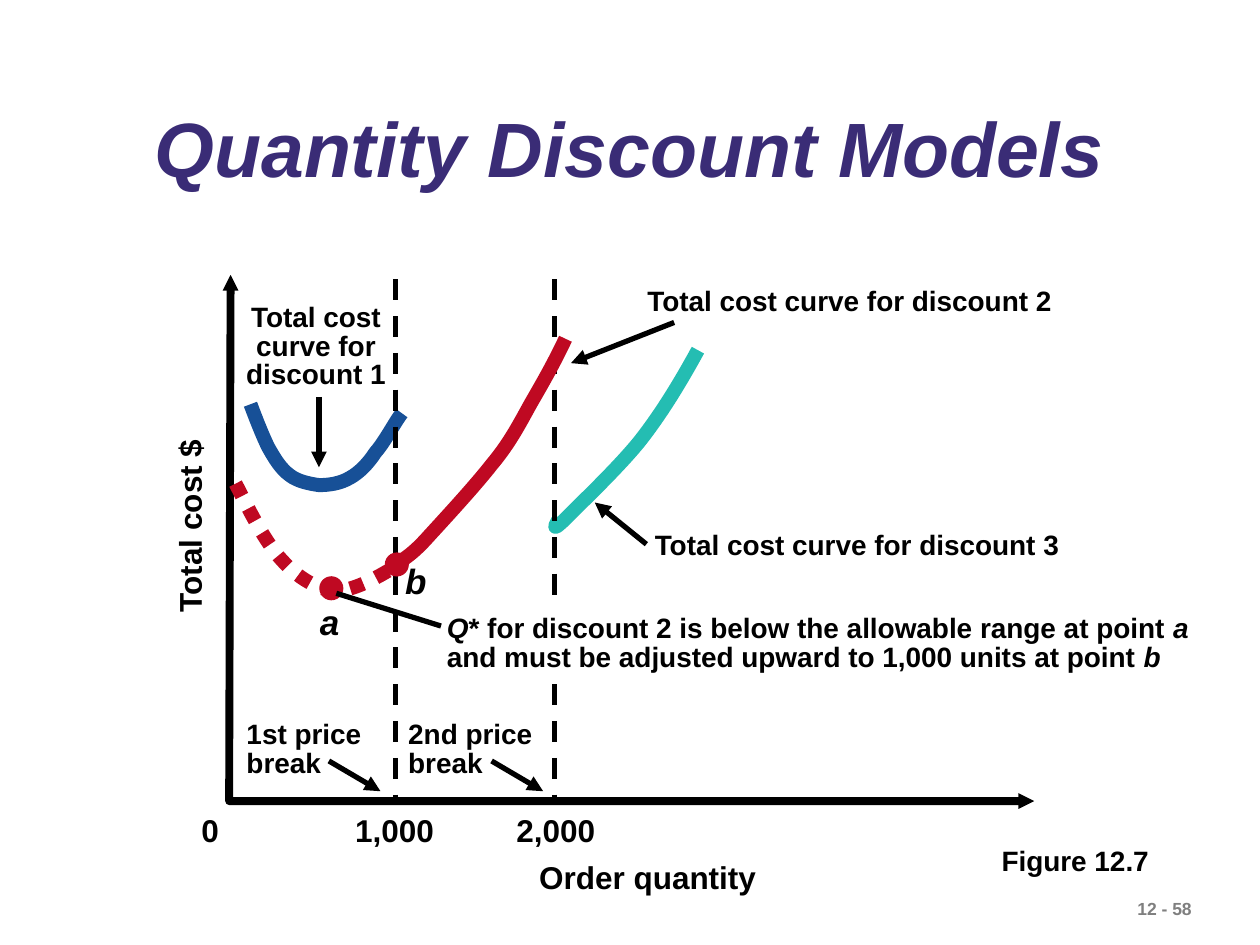
"""Build the quantity discount models slide with its total cost curves."""
from pptx import Presentation
from pptx import util as u
from pptx.dml.color import RGBColor
from pptx.enum import dml, shapes, text
from pptx.oxml.ns import qn
from lxml import etree

BLACK = RGBColor(0x00, 0x00, 0x00)
WHITE = RGBColor(0xFF, 0xFF, 0xFF)
GREY = RGBColor(0x7F, 0x7F, 0x7F)
PURPLE = RGBColor(0x3A, 0x2C, 0x76)
BLUE = RGBColor(0x17, 0x50, 0x97)
TEAL = RGBColor(0x24, 0xBD, 0xB2)
RED = RGBColor(0xBF, 0x09, 0x22)

DISCOUNT_1 = [(5.05, 8.15), (5.11, 8.31), (5.28, 8.76), (5.41, 9.02),
              (5.54, 9.25), (5.66, 9.45), (5.84, 9.58),
              (5.99, 9.7), (6.22, 9.75), (6.43, 9.78),
              (6.63, 9.78), (6.86, 9.75), (7.06, 9.63),
              (7.24, 9.53), (7.42, 9.35), (7.57, 9.12),
              (7.75, 8.92), (7.98, 8.48), (8.1, 8.33)]
DISCOUNT_2 = [(7.98, 11.38), (8.08, 11.3), (8.26, 11.23), (8.59, 10.87),
              (8.89, 10.54), (9.55, 9.83), (9.91, 9.37),
              (10.29, 8.92), (10.49, 8.51), (10.72, 8.1),
              (10.97, 7.67), (11.2, 7.26), (11.4, 6.83)]
DISCOUNT_2_BELOW_RANGE = [(4.75, 9.75), (5.05, 10.34), (5.36, 10.95), (5.69, 11.3),
                          (6.02, 11.66), (6.38, 11.86), (6.71, 11.91),
                          (7.04, 11.94), (7.52, 11.68), (7.7, 11.58),
                          (7.9, 11.46), (7.95, 11.46), (8, 11.4)]
DISCOUNT_3 = [(11.25, 10.49), (11.18, 10.62), (11.13, 10.72), (11.4, 10.46),
              (11.66, 10.19), (12.45, 9.45), (12.9, 8.89),
              (13.34, 8.33), (13.72, 7.7), (14.07, 7.06)]
AXES = [(4.65, 5.54), (4.62, 16.15), (20.85, 16.15)]


def style_line(line, color, width, dash=None, ends=(), end_size="med"):
    """Set colour, width, dash and triangle ends of a line."""
    line.color.rgb = color
    line.width = u.Pt(width)
    if dash:
        line.dash_style = dash
    for end in ends:
        etree.SubElement(line._get_or_add_ln(), qn(f"a:{end}"),
                         type="triangle", w=end_size, len=end_size)


def add_label(page, words, left, top, width, height, size=16, color=BLACK,
              italic=False, wrap=False, spacing=None, align=None, fill=None):
    """Add bold text; words is a string or a list of (string, italic) spans."""
    box = page.shapes.add_textbox(u.Cm(left), u.Cm(top), u.Cm(width), u.Cm(height))
    if fill is not None:
        box.fill.solid()
        box.fill.fore_color.rgb = fill
    frame = box.text_frame
    frame.word_wrap = wrap
    frame.auto_size = text.MSO_AUTO_SIZE.SHAPE_TO_FIT_TEXT
    para = frame.paragraphs[0]
    para.alignment = align
    para.line_spacing = spacing
    for string, slanted in [(words, italic)] if isinstance(words, str) else words:
        span = para.add_run()
        span.text = string
        span.font.name = "Arial"
        span.font.size = u.Pt(size)
        span.font.bold = True
        span.font.italic = slanted
        span.font.color.rgb = color
    return box


def add_line(page, start, end, dash=None, ends=()):
    """Add a straight black connector."""
    line = page.shapes.add_connector(
        shapes.MSO_CONNECTOR.STRAIGHT, *(u.Cm(value) for value in start + end))
    style_line(line.line, BLACK, 3, dash, ends)
    etree.SubElement(line._element.spPr, qn("a:effectLst"))


def add_arrow(page, start, end):
    """Add a connector with a triangle at its end."""
    add_line(page, start, end, ends=["tailEnd"])


def add_outline(page, points, color, width, dash=None, ends=()):
    """Add an open, unfilled outline through the points."""
    first, *others = [(u.Cm(x), u.Cm(y)) for x, y in points]
    builder = page.shapes.build_freeform(*first)
    builder.add_line_segments(others, close=False)
    outline = builder.convert_to_shape()
    outline.shadow.inherit = False
    outline.fill.background()
    style_line(outline.line, color, width, dash, ends, end_size="sm")
    return outline


def add_curve(page, points, color, dash=None):
    """Add a Bezier curve from a start point and triples of control points."""
    curve = add_outline(page, points, color, 8, dash)
    segments = list(curve._element.iter(qn("a:lnTo")))
    route = segments[0].getparent()
    for index in range(0, len(segments), 3):
        bezier = etree.SubElement(route, qn("a:cubicBezTo"))
        for segment in segments[index:index + 3]:
            bezier.append(segment[0])
            route.remove(segment)


def add_dot(page, left, top):
    """Add a red point marker."""
    dot = page.shapes.add_shape(
        shapes.MSO_SHAPE.OVAL, u.Cm(left), u.Cm(top), u.Cm(0.46), u.Cm(0.46))
    dot.shadow.inherit = False
    dot.fill.solid()
    dot.fill.fore_color.rgb = RED
    style_line(dot.line, RED, 0.75)


def add_axes(page):
    """Add the axes with their names and origin."""
    add_outline(page, AXES, BLACK, 4.5, ends=["headEnd", "tailEnd"])
    add_label(page, "Total cost $", 1.8, 10.06, 4.04, 1.02, 18).rotation = 270
    add_label(page, "0", 3.81, 16.23, 0.86, 1.02, 18)
    add_label(page, "Order quantity", 10.62, 17.17, 4.88, 1.02, 18)


def add_price_limits(page):
    """Add the dashed price break lines with their quantities."""
    for quantity, x, left in [("1,000", 7.98, 6.91), ("2,000", 11.18, 10.16)]:
        add_line(page, (x, 5.63), (x, 16.14), dml.MSO_LINE.DASH)
        add_label(page, quantity, left, 16.23, 2.2, 1.02, 18)


def add_break_notes(page):
    """Add the notes that point at the price breaks."""
    for words, left, width, start in [("1st price break", 4.72, 3.1, 6.63),
                                      ("2nd price break", 7.98, 3.23, 9.91)]:
        add_label(page, words, left, 14.43, width, 1.42, wrap=True, spacing=0.85)
        add_arrow(page, (start, 15.34), (start + 1.04, 15.95))


def add_optimum_note(page):
    """Add points a and b and the note on the adjusted optimum."""
    note = [("Q", True), ("* for discount 2 is below the allowable range at point ", False),
            ("a", True), (" and must be adjusted upward to 1,000 units at point ", False),
            ("b", True)]
    add_label(page, note, 8.76, 12.29, 15.72, 1.42, wrap=True, spacing=0.85, fill=WHITE)
    add_label(page, "a", 6.2, 11.99, 0.89, 1.12, 20, italic=True)
    add_label(page, "b", 7.92, 11.15, 0.94, 1.12, 20, italic=True)
    add_dot(page, 7.77, 11.15)
    add_dot(page, 6.45, 11.63)
    add_line(page, (8.89, 12.62), (6.78, 11.96))


def add_curve_names(page):
    """Add the names of the three curves with their arrows."""
    add_label(page, "Total cost curve for discount 1", 4.45, 6.02, 3.84, 1.98,
              wrap=True, spacing=0.85, align=text.PP_ALIGN.CENTER)
    add_arrow(page, (6.43, 8), (6.43, 9.42))
    add_label(page, "Total cost curve for discount 2", 12.8, 5.59, 8.69, 0.94)
    add_arrow(page, (13.59, 6.5), (11.51, 7.32))
    add_label(page, "Total cost curve for discount 3", 12.95, 10.52, 8.69, 0.94)
    add_arrow(page, (13.03, 10.97), (11.99, 10.13))


def main():
    """Build and save the slide."""
    deck = Presentation()
    deck.slide_width, deck.slide_height = u.Cm(25.4), u.Cm(19.05)
    page = deck.slides.add_slide(deck.slide_layouts[6])
    add_label(page, "12 - 58", 22.68, 17.98, 2.9, 0.69, 10, GREY, wrap=True)
    title = add_label(page, "Quantity Discount Models", 1.52, 1.68, 22.35, 2.79, 44, PURPLE,
                      italic=True, wrap=True, spacing=0.9, align=text.PP_ALIGN.CENTER)
    title.text_frame.auto_size = text.MSO_AUTO_SIZE.NONE
    title.text_frame.vertical_anchor = text.MSO_ANCHOR.MIDDLE
    add_curve(page, DISCOUNT_1, BLUE)
    add_curve(page, DISCOUNT_3, TEAL)
    add_price_limits(page)
    add_axes(page)
    add_curve(page, DISCOUNT_2, RED)
    add_curve(page, DISCOUNT_2_BELOW_RANGE, RED, dml.MSO_LINE.ROUND_DOT)
    add_optimum_note(page)
    add_break_notes(page)
    add_curve_names(page)
    add_label(page, "Figure 12.7", 19.94, 16.89, 3.48, 0.94)
    deck.save("out.pptx")


if __name__ == "__main__":
    main()
